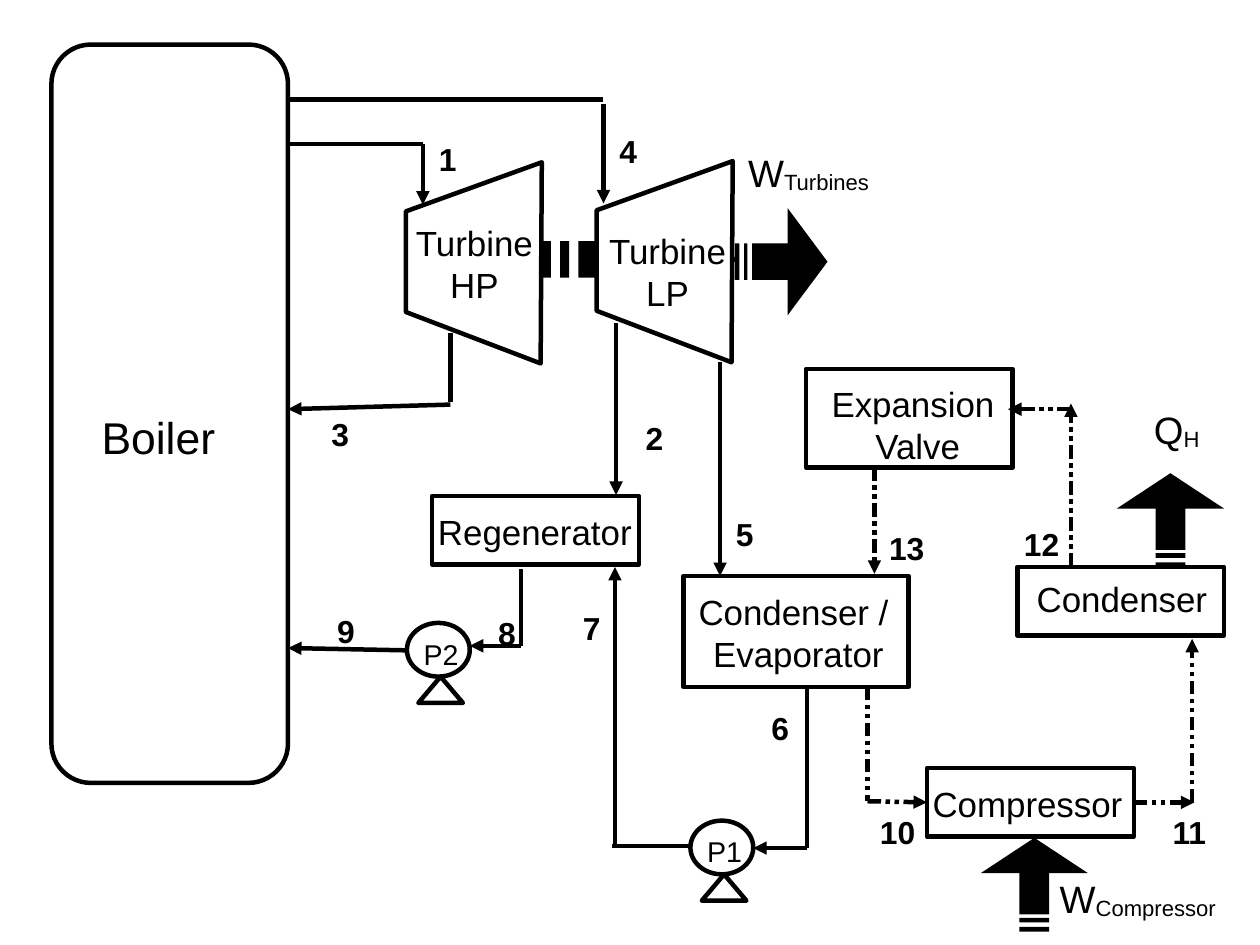
from dataclasses import dataclass

from lxml import etree
from pptx import Presentation
from pptx.dml.color import RGBColor
from pptx.enum.shapes import MSO_CONNECTOR, MSO_SHAPE
from pptx.enum.text import MSO_ANCHOR, MSO_AUTO_SIZE, PP_ALIGN
from pptx.oxml.ns import qn
from pptx.util import Cm, Inches, Pt

STRAIGHT = MSO_CONNECTOR.STRAIGHT
RECTANGLE, ROUNDED = MSO_SHAPE.RECTANGLE, MSO_SHAPE.ROUNDED_RECTANGLE
ELLIPSE, TRIANGLE = MSO_SHAPE.OVAL, MSO_SHAPE.ISOSCELES_TRIANGLE
LEFT, CENTER = PP_ALIGN.LEFT, PP_ALIGN.CENTER
LEFT_SIDE, RIGHT_SIDE = 1, 3


@dataclass(frozen=True)
class Theme:
    ink: RGBColor = RGBColor(0, 0, 0)
    paper: RGBColor = RGBColor(255, 255, 255)
    font: str = "Arial"
    line: float = 2.83
    boiler: int = 28
    energy: int = 24
    unit: int = 22
    stream: int = 20
    pump: int = 18


@dataclass(frozen=True)
class Box:
    name: str
    left: float
    top: float
    width: float
    height: float
    kind: int = RECTANGLE


@dataclass(frozen=True)
class Arrow:
    tip: tuple
    direction: tuple
    head: float
    shaft: float
    half_shaft: float
    stripes: tuple


@dataclass(frozen=True)
class Pipe:
    start: tuple
    end: tuple
    arrow: bool = True
    dashed: bool = False
    begin_site: tuple = ()
    end_site: tuple = ()


@dataclass(frozen=True)
class Label:
    text: str
    left: float
    top: float
    width: float
    height: float
    size: int
    subscript: str = ""


THEME = Theme()
RIGHT_WAY, UP = (1, 0), (0, -1)
HALF_HEAD = 0.47
UP_STRIPES = ((0.7, 0.74), (0.78, 0.82))

ARROWS = [
    Arrow((6.46, 2.27), RIGHT_WAY, 0.74, 1.4, 0.16, ((1.48, 1.56), (1.64, 1.72))),
    Arrow((7.24, 2.29), RIGHT_WAY, 0.35, 0.66, 0.16, ((0.7, 0.73), (0.77, 0.81))),
    Arrow((9.05, 7.33), UP, 0.31, 0.67, 0.13, UP_STRIPES),
    Arrow((10.24, 4.14), UP, 0.31, 0.67, 0.13, UP_STRIPES),
]
TURBINES = [(3.55, 1.85), (5.22, 1.84)]
TURBINE_OUTLINE = [(0, 0), (1.19, -0.43), (1.18, 1.33), (0, 0.88)]
PUMPS = [("P1", 6.04, 7.18), ("P2", 3.56, 5.45)]
BOXES = [
    Box("Boiler", 0.45, 0.39, 2.07, 6.46, ROUNDED),
    Box("Regenerator", 3.78, 4.34, 1.81, 0.6),
    Box("Condenser / Evaporator", 5.98, 5.04, 1.97, 0.97),
    Box("Compressor", 8.11, 6.72, 1.81, 0.6),
    Box("Condenser", 8.9, 4.96, 1.81, 0.6),
    Box("Expansion Valve", 7.05, 3.23, 1.81, 0.86),
]
PIPES = [
    Pipe((3.7, 1.26), (2.51, 1.26), arrow=False),
    Pipe((3.7, 1.26), (3.7, 1.79)),
    Pipe((3.94, 3.54), (2.52, 3.58)),
    Pipe((3.94, 2.91), (3.94, 3.52), arrow=False),
    Pipe((5.28, 0.87), (2.52, 0.87), arrow=False),
    Pipe((5.28, 0.91), (5.28, 1.78)),
    Pipe((7.06, 7.42), (6.59, 7.42)),
    Pipe((5.38, 7.42), (5.38, 4.96)),
    Pipe((4.56, 4.98), (4.56, 5.65), arrow=False),
    Pipe((4.56, 5.65), (4.11, 5.65)),
    Pipe((3.56, 5.69), (2.52, 5.67)),
    Pipe((5.39, 2.83), (5.39, 4.33)),
    Pipe((6.3, 3.17), (6.3, 5.04)),
    Pipe((7.06, 6.03), (7.06, 7.42), arrow=False),
    Pipe((6.04, 7.4), (5.35, 7.4), arrow=False),
    Pipe((7.59, 6.01), (7.59, 7.01), arrow=False, dashed=True),
    Pipe((7.59, 7.01), (8.11, 7.02), dashed=True, end_site=("Compressor", LEFT_SIDE)),
    Pipe((10.43, 7.02), (10.43, 5.59), dashed=True),
    Pipe((9.92, 7.02), (10.45, 7.02), dashed=True, begin_site=("Compressor", RIGHT_SIDE)),
    Pipe((9.37, 4.96), (9.37, 3.53), dashed=True),
    Pipe((9.37, 3.58), (8.82, 3.58), dashed=True),
    Pipe((7.65, 4.09), (7.65, 5.02), dashed=True),
]
BOILER_LABEL = Label("Boiler", 0.79, 3.54, 1.34, 0.53, THEME.boiler)
UNIT_LABELS = [
    Label("Turbine\nHP", 3.54, 1.89, 1.22, 0.78, THEME.unit),
    Label("Turbine\nLP", 5.23, 1.96, 1.22, 0.78, THEME.unit),
    Label("Regenerator", 3.73, 4.42, 1.9, 0.48, THEME.unit),
    Label("Condenser / \nEvaporator", 6.01, 5.12, 1.95, 0.78, THEME.unit),
    Label("Compressor", 8.06, 6.8, 1.86, 0.48, THEME.unit),
    Label("Condenser", 8.92, 5, 1.79, 0.48, THEME.unit),
    Label("Expansion \nValve", 7.16, 3.3, 1.74, 0.78, THEME.unit),
    Label("W", 6.41, 1.26, 1.33, 0.58, THEME.energy, "Turbines"),
    Label("W", 9.17, 7.61, 1.57, 0.58, THEME.energy, "Compressor"),
    Label("Q", 9.92, 3.51, 0.75, 0.58, THEME.energy, "H"),
]
STREAM_PLACES = [
    (3.74, 1.17), (5.55, 3.61), (2.8, 3.58), (5.32, 1.1), (6.34, 4.45),
    (6.65, 6.15), (5, 5.28), (4.26, 5.32), (2.85, 5.3), (7.6, 7.06),
    (10.16, 7.06), (8.86, 4.54), (7.68, 4.58),
]


def format_shape(shape, fill: RGBColor, outlined: bool = True) -> None:
    shape.shadow.inherit = False
    shape.fill.solid()
    shape.fill.fore_color.rgb = fill
    if outlined:
        shape.line.color.rgb = THEME.ink
        shape.line.width = Pt(THEME.line)
    else:
        shape.line.fill.background()


def add_box(slide, box: Box):
    shape = slide.shapes.add_shape(
        box.kind, Inches(box.left), Inches(box.top), Inches(box.width), Inches(box.height))
    format_shape(shape, THEME.paper)
    return shape


def add_outline(slide, contours: list, fill: RGBColor, outlined: bool) -> None:
    contours = [[(Inches(x), Inches(y)) for x, y in contour] for contour in contours]
    builder = slide.shapes.build_freeform(*contours[0][0])
    builder.add_line_segments(contours[0][1:], close=True)
    for contour in contours[1:]:
        builder.move_to(*contour[0])
        builder.add_line_segments(contour[1:], close=True)
    format_shape(builder.convert_to_shape(), fill, outlined)


def add_arrow(slide, arrow: Arrow) -> None:
    (tip_x, tip_y), (step_x, step_y), half = arrow.tip, arrow.direction, arrow.half_shaft

    def place(back: float, side: float) -> tuple:
        return tip_x - back * step_x - side * step_y, tip_y - back * step_y + side * step_x

    head = [(0, 0), (arrow.head, HALF_HEAD), (arrow.head, half), (arrow.shaft, half),
            (arrow.shaft, -half), (arrow.head, -half), (arrow.head, -HALF_HEAD)]
    stripes = [[(near, half), (far, half), (far, -half), (near, -half)]
               for near, far in arrow.stripes]
    contours = [[place(*point) for point in contour] for contour in [head, *stripes]]
    add_outline(slide, contours, THEME.ink, outlined=False)


def add_pipe(slide, pipe: Pipe, shapes: dict) -> None:
    connector = slide.shapes.add_connector(
        STRAIGHT, *(Inches(value) for value in (*pipe.start, *pipe.end)))
    connector.line.color.rgb = THEME.ink
    connector.line.width = Pt(THEME.line)
    if pipe.begin_site:
        connector.begin_connect(shapes[pipe.begin_site[0]], pipe.begin_site[1])
    if pipe.end_site:
        connector.end_connect(shapes[pipe.end_site[0]], pipe.end_site[1])
    properties = connector.element.spPr
    line = properties.find(qn("a:ln"))
    if pipe.dashed:
        etree.SubElement(line, qn("a:prstDash"), val="sysDashDotDot")
    if pipe.arrow:
        etree.SubElement(line, qn("a:tailEnd"), type="triangle")
    etree.SubElement(properties, qn("a:effectLst"))


def add_text(slide, label: Label, *, align=CENTER, bold: bool = False, inset: float = 0.1) -> None:
    frame = slide.shapes.add_textbox(
        Inches(label.left), Inches(label.top), Inches(label.width), Inches(label.height)).text_frame
    frame.word_wrap = bool(label.subscript)
    frame.auto_size = MSO_AUTO_SIZE.SHAPE_TO_FIT_TEXT
    frame.vertical_anchor = MSO_ANCHOR.TOP
    frame.margin_left = frame.margin_right = Inches(inset)
    frame.text = label.text
    if label.subscript:
        run = frame.paragraphs[0].add_run()
        run.text = label.subscript
        run.font._element.set("baseline", "-8000")
    for paragraph in frame.paragraphs:
        paragraph.alignment = align
        for run in paragraph.runs:
            run.font.name, run.font.size, run.font.bold = THEME.font, Pt(label.size), bold
            run.font.color.rgb = THEME.ink


def main() -> None:
    presentation = Presentation()
    presentation.slide_width, presentation.slide_height = Cm(28), Cm(21)
    slide = presentation.slides.add_slide(presentation.slide_layouts[6])
    for arrow in ARROWS:
        add_arrow(slide, arrow)
    for left, top in TURBINES:
        outline = [(left + x, top + y) for x, y in TURBINE_OUTLINE]
        add_outline(slide, [outline], THEME.paper, outlined=True)
    shapes = {box.name: add_box(slide, box) for box in BOXES}
    for name, left, top in PUMPS:
        add_box(slide, Box(name, left, top, 0.55, 0.47, ELLIPSE))
        add_box(slide, Box(name, left + 0.1, top + 0.47, 0.39, 0.23, TRIANGLE))
        add_text(slide, Label(name, left + 0.05, top + 0.07, 0.5, 0.38, THEME.pump), inset=0)
    for pipe in PIPES:
        add_pipe(slide, pipe, shapes)
    add_text(slide, BOILER_LABEL, align=LEFT)
    for label in UNIT_LABELS:
        add_text(slide, label)
    for number, (left, top) in enumerate(STREAM_PLACES, start=1):
        width = 0.35 if number < 10 else 0.51
        add_text(slide, Label(str(number), left, top, width, 0.41, THEME.stream),
                 align=LEFT, bold=True)
    presentation.save("out.pptx")


if __name__ == "__main__":
    main()
